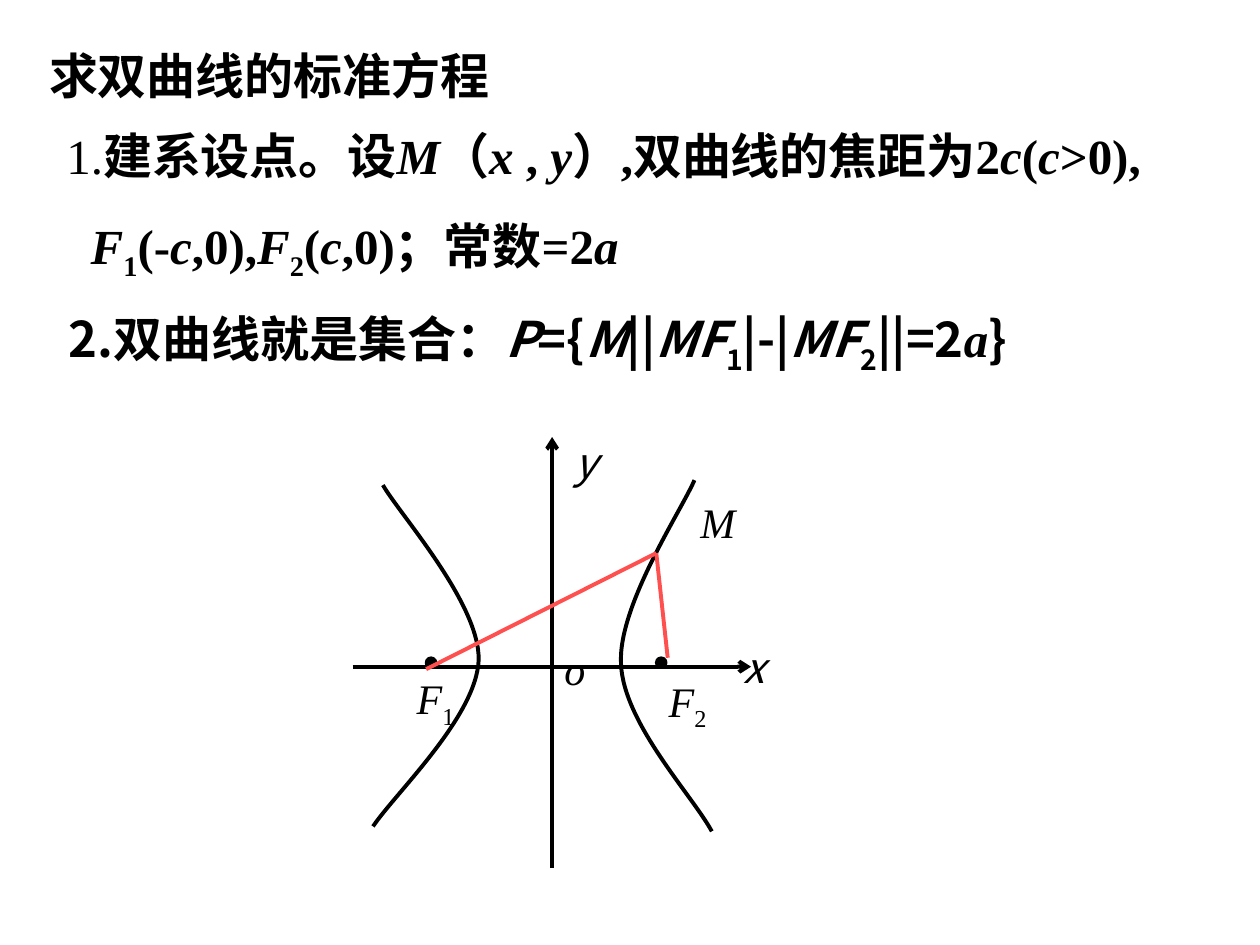
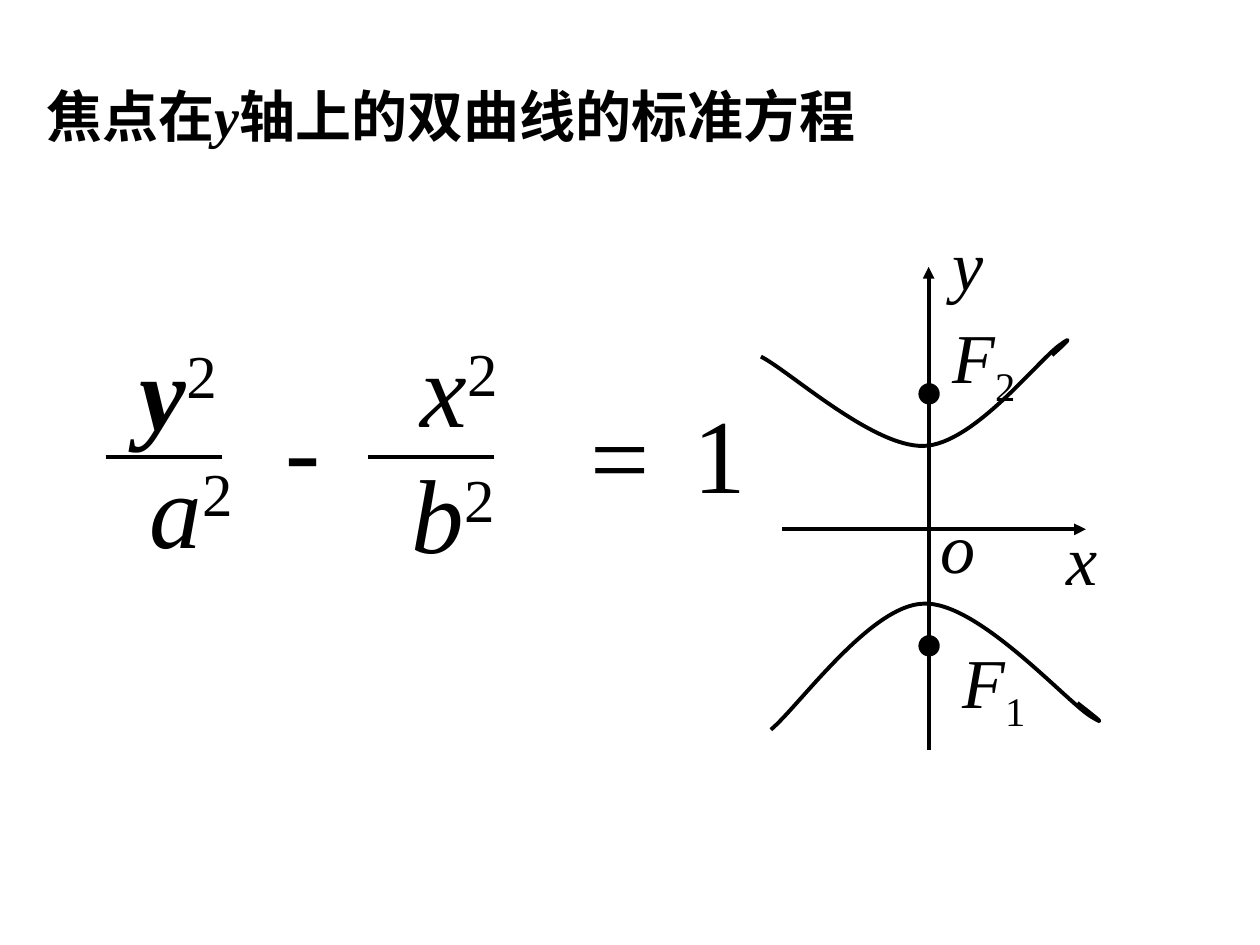
from dataclasses import dataclass

from lxml.etree import SubElement
from pptx import Presentation
from pptx.dml.color import RGBColor
from pptx.enum.shapes import MSO_CONNECTOR as Connector, MSO_SHAPE as Preset
from pptx.enum.text import MSO_AUTO_SIZE as AutoSize
from pptx.oxml.ns import qn
from pptx.util import Cm, Pt


@dataclass(frozen=True)
class Theme:
    ink: RGBColor = RGBColor(0, 0, 0)
    radius_line: RGBColor = RGBColor(0xFF, 0x50, 0x50)
    math: str = "Times New Roman"
    chinese: str = "Noto Sans CJK SC"
    heading: str = "Arial"
    body: int = 28
    large_title: int = 32
    small_label: int = 24
    large_label: int = 40
    formula: int = 60
    stroke: float = 2.25


THEME = Theme()


# Text: * italic, _ subscript, ^ superscript, ~ other weight, ` math font
def split_spans(markup):
    active, text = set(), ""
    for mark in markup:
        if mark in "*_^~`":
            if text:
                yield text, frozenset(active)
            active ^= {mark}
            text = ""
        else:
            text += mark
    if text:
        yield text, frozenset(active)


def write_paragraph(para, markup, size, font, bold):
    para.font.size = Pt(size)
    para.font.name = font
    para.font.bold = bold
    para.font.color.rgb = THEME.ink
    defaults = para._p.get_or_add_pPr().find(qn("a:defRPr"))
    SubElement(defaults, qn("a:ea")).set("typeface", THEME.chinese)
    for text, marks in split_spans(markup):
        span = para.add_run()
        span.text = text
        if "*" in marks:
            span.font.italic = True
        if "~" in marks:
            span.font.bold = not bold
        if "`" in marks:
            span.font.name = THEME.math
        if "_" in marks or "^" in marks:
            shift = "-25000" if "_" in marks else "30000"
            span._r.get_or_add_rPr().set("baseline", shift)


def add_text(page, place, lines, size, font=THEME.math, bold=False):
    box = page.shapes.add_textbox(*map(Cm, place))
    frame = box.text_frame
    frame.word_wrap = True
    frame.auto_size = AutoSize.SHAPE_TO_FIT_TEXT
    for number, markup in enumerate(lines):
        para = frame.add_paragraph() if number else frame.paragraphs[0]
        if number:
            para.space_before = Pt(size * 0.625)
            para._p.get_or_add_pPr().set("marL", str(Cm(0.49)))
        write_paragraph(para, markup, size, font, bold)


def add_labels(page, labels, size, height):
    for markup, left, top, width, *font in labels:
        add_text(page, (left, top, width, height), [markup], size, *font)


# Drawing
def add_line(page, start, end, color=THEME.ink, arrow=None):
    line = page.shapes.add_connector(
        Connector.STRAIGHT, *map(Cm, (*start, *end)))
    line.line.color.rgb = color
    line.line.width = Pt(THEME.stroke)
    properties = line._element.spPr
    if arrow:
        SubElement(properties.find(qn("a:ln")), qn("a:tailEnd")).set("type", arrow)
    SubElement(properties, qn("a:effectLst"))


def add_curve(page, points):
    """Draw cubic arcs: a start, then two controls and an end for each arc."""
    start, *rest = [tuple(map(Cm, point)) for point in points]
    builder = page.shapes.build_freeform(*start)
    builder.add_line_segments(rest, close=False)
    curve = builder.convert_to_shape()
    curve.shadow.inherit = False
    curve.fill.background()
    curve.line.color.rgb = THEME.ink
    curve.line.width = Pt(THEME.stroke)
    outline = curve._element.spPr.find(".//" + qn("a:path"))
    segments = outline.findall(qn("a:lnTo"))
    for first in range(0, len(segments), 3):
        arc = SubElement(outline, qn("a:cubicBezTo"))
        for segment in segments[first:first + 3]:
            arc.append(segment[0])
            outline.remove(segment)


def add_focus(page, x, y, size, outlined=False):
    focus = page.shapes.add_shape(
        Preset.OVAL, *map(Cm, (x - size / 2, y - size / 2, size, size)))
    focus.shadow.inherit = False
    focus.fill.solid()
    focus.fill.fore_color.rgb = THEME.ink
    if outlined:
        focus.line.color.rgb = THEME.ink
        focus.line.width = Pt(1.5)
    else:
        focus.line.fill.background()


def add_axes(page, x_axis, y_axis, arrow):
    left, right, level = x_axis
    bottom, top, center = y_axis
    add_line(page, (left, level), (right, level), arrow=arrow)
    add_line(page, (center, bottom), (center, top), arrow=arrow)


# Slides
def build_derivation(page):
    add_text(page, (0.74, 0.79, 10.2, 1.45), ["求双曲线的标准方程"],
             THEME.body, THEME.heading, bold=True)
    add_text(page, (1.09, 2.41, 24.31, 3.4), [
        "~1.~建系设点。设*M*（*x* , *y*）,双曲线的焦距为2*c*(*c*>0),",
        "*F*_1_(-*c*,0),*F*_2_(*c*,0)；常数=2*a*",
    ], THEME.body, bold=True)
    add_text(page, (1.14, 6.1, 24.56, 3.4), [
        "2.双曲线就是集合：*P*={*M*||*MF*_1_|-|*MF*_2_||=2`*a*`}",
    ], THEME.body, THEME.chinese, bold=True)

    # Hyperbola opening left and right
    add_axes(page, (7.11, 15.14, 13.44), (17.5, 8.81, 11.13), "arrow")
    for x in (13.33, 8.69):
        add_focus(page, x, 13.36, 0.2, outlined=True)
    add_curve(page, [(14, 9.68), (13.74, 10.29), (12.45, 12.22), (12.52, 13.39),
                     (12.57, 14.58), (13.97, 16.05), (14.35, 16.76)])
    add_curve(page, [(7.72, 9.78), (8.05, 10.36), (9.68, 12.17), (9.65, 13.31),
                     (9.6, 14.45), (7.98, 15.98), (7.52, 16.66)])
    add_labels(page, [
        ("*x*", 14.73, 12.8, 1.9, THEME.chinese),
        ("*y*", 11.33, 8.67, 2.34, THEME.chinese),
        ("*o*", 11.13, 12.85, 1.47),
        ("*F*_1_", 8.15, 13.44, 2.97),
        ("*F*_2_", 13.23, 13.49, 4.24),
        ("*M*", 13.87, 9.88, 1.7),
    ], THEME.small_label, 1.27)

    # Focal radii
    point_m = (13.23, 11.15)
    add_line(page, (8.59, 13.49), point_m, THEME.radius_line)
    add_line(page, point_m, (13.46, 13.26), THEME.radius_line)


def build_vertical_equation(page):
    add_text(page, (0.69, 1.52, 19.23, 1.63),
             ["焦点在*y*轴上的双曲线的标准方程"], THEME.large_title, bold=True)

    # Hyperbola opening up and down
    add_axes(page, (15.77, 21.89, 10.67), (15.11, 5.38, 18.72), "triangle")
    add_curve(page, [(15.34, 7.19), (15.9, 7.47), (17.6, 9.02), (18.62, 8.99),
                     (19.61, 8.97), (20.93, 7.26), (21.36, 6.96),
                     (21.79, 6.65), (21.23, 7.14), (21.21, 7.16)])
    add_curve(page, [(15.54, 14.71), (16.08, 14.27), (17.55, 12.19), (18.62, 12.17),
                     (19.69, 12.12), (21.46, 14.1), (21.97, 14.43),
                     (22.5, 14.76), (21.77, 14.22), (21.72, 14.17)])
    for y in (7.94, 13.02):
        add_focus(page, 18.73, y, 0.43)
    add_labels(page, [
        ("*F*_1_", 19.15, 12.75, 3.61),
        ("*F*_2_", 18.95, 6.2, 2.54),
        ("*y*", 18.95, 4.32, 5.08),
        ("*x*", 21.26, 10.26, 4.24),
        ("*o*", 18.72, 10.03, 1.9),
    ], THEME.large_label, 1.96)

    # Standard equation
    for left, right in ((2.13, 4.47), (7.42, 9.96)):
        add_line(page, (left, 9.22), (right, 9.22))
    add_labels(page, [
        ("~*y*~^2^", 2.57, 6.43, 2.97),
        ("*a*^2^", 2.77, 8.81, 3.38),
        ("-", 5.51, 7.59, 2.34),
        ("*x*^2^", 8.23, 6.38, 4.06),
        ("*b*^2^", 8.05, 8.92, 6.35),
        ("=", 11.66, 7.75, 4.01),
        ("1", 13.74, 7.7, 1.8),
    ], THEME.formula, 2.79)


def main():
    deck = Presentation()
    deck.slide_width, deck.slide_height = Cm(25.4), Cm(19.05)
    for build in (build_derivation, build_vertical_equation):
        build(deck.slides.add_slide(deck.slide_layouts[6]))
    deck.save("out.pptx")


if __name__ == "__main__":
    main()
